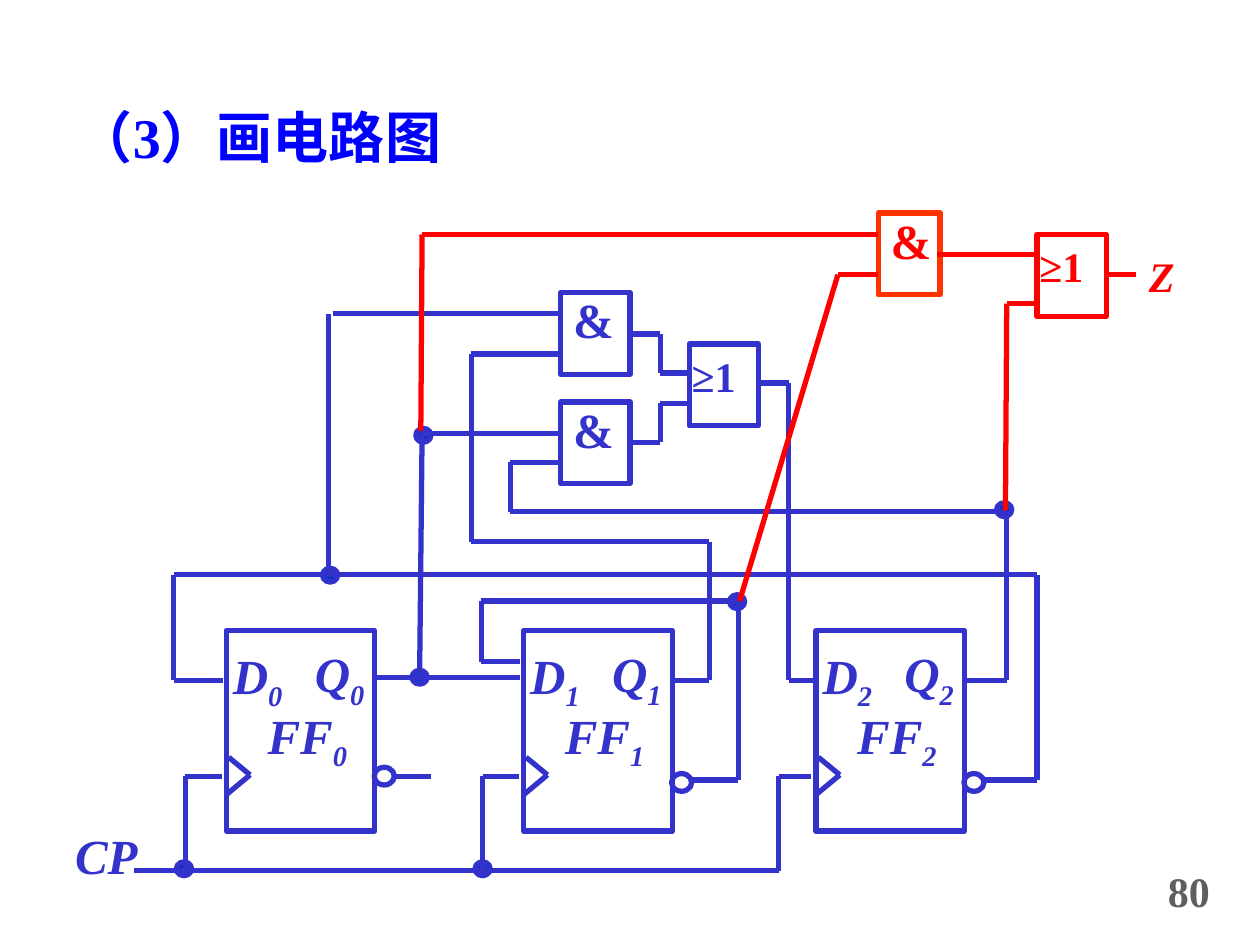
"""Build the slide with the circuit diagram of three D flip-flops."""
from itertools import pairwise

from lxml import etree
from pptx import Presentation
from pptx.dml.color import RGBColor
from pptx.enum.shapes import MSO_CONNECTOR, MSO_SHAPE
from pptx.enum.text import MSO_ANCHOR, PP_ALIGN
from pptx.oxml.ns import qn
from pptx.util import Inches, Pt

LINE = MSO_CONNECTOR.STRAIGHT
RECT, OVAL = MSO_SHAPE.RECTANGLE, MSO_SHAPE.OVAL
TOP, LEFT, CENTER = MSO_ANCHOR.TOP, PP_ALIGN.LEFT, PP_ALIGN.CENTER
FONT = "Times New Roman"
COLORS = {name: RGBColor.from_string(value) for name, value in {
    "title": "0000FF", "wire": "3333CC", "node": "0033CC",
    "output": "FF0000", "gate": "FF3300", "page": "5F5F5F"}.items()}

prs = Presentation()
prs.slide_width, prs.slide_height = Inches(10), Inches(7.5)
U = prs.slide_width / 100  # grid of 100 columns by 75 rows
s = prs.slides.add_slide(prs.slide_layouts[5])


def outline(shape, x, y, w, h, color="wire", fill=None):
    sp = s.shapes.add_shape(shape, *(round(v * U) for v in (x, y, w, h)))
    sp.shadow.inherit = False
    if fill:
        sp.fill.solid()
        sp.fill.fore_color.rgb = COLORS[fill]
    else:
        sp.fill.background()
    sp.line.color.rgb = COLORS[color]
    sp.line.width = Pt(3)


def label(text, x, y, w, h, size=28, color="wire", italic=False, sub="", align=LEFT, sp=None):
    sp = sp or s.shapes.add_textbox(0, 0, 0, 0)
    sp.left, sp.top, sp.width, sp.height = (round(v * U) for v in (x, y, w, h))
    tf = sp.text_frame
    tf.word_wrap = True
    tf.vertical_anchor = TOP
    p = tf.paragraphs[0]
    p.text = text
    p.alignment = align
    if sub:
        r = p.add_run()
        r.text = sub
        r._r.get_or_add_rPr().set("baseline", "-25000")
    for r in p.runs:
        r.font.name, r.font.size = FONT, Pt(size)
        r.font.bold, r.font.italic = True, italic
        r.font.color.rgb = COLORS[color]


label("（3）画电路图", 5.1, 7.6, 61.4, 5.8, 32, "title", sp=s.shapes.title)

# Flip-flops
clocks = []
for i, (x, bubble) in enumerate([(17.95, 60.9), (41.55, 61.4), (64.75, 61.4)]):
    outline(RECT, x, 50.05, 11.8, 15.9)
    outline(OVAL, x + 11.75, bubble, 1.6, 1.4)
    label("D", x - 1.65, 50.7, 8.3, 6.3, italic=True, sub=str(i), align=CENTER)
    label("Q", x + 6.05, 50.6, 6.7, 6.3, italic=True, sub=str(i))
    label("FF", x + 2.3, 55.5, 8.7, 6.3, italic=True, sub=str(i))
    clocks.append([(x + 0.2, 60.1), (x + 1.9, 61.5), (x + 0.1, 63)])

# Gates
for x, y, w, color in [(44.5, 23.2, 5.5, "wire"), (44.5, 31.9, 5.5, "wire"), (69.7, 16.9, 4.9, "gate")]:
    outline(RECT, x, y, w, 6.5, color)
    label("&", x, y - 0.7, w + 1.1, 5.7, color="output" if color == "gate" else color)
for x, y, color in [(54.7, 27.3, "wire"), (82.3, 18.6, "output")]:
    outline(RECT, x, y, 5.5, 6.5, color)
    label("≥1", x - 0.8, y, 8.7, 5, 24, color)

# Wires
wires = clocks + [
    [(10.6, 69.1), (61.8, 69.1), (61.8, 61.6), (64.4, 61.6)],
    [(14.7, 69.1), (14.7, 61.6), (17.6, 61.6)],
    [(38.3, 69.1), (38.3, 61.6), (41.2, 61.6)],
    [(17.7, 54), (13.8, 54), (13.8, 45.6), (82.3, 45.6), (82.3, 61.9), (78.1, 61.9)],
    [(31.3, 61.6), (34.2, 61.6)],
    [(29.5, 53.8), (41.3, 53.8)],
    [(33.3, 54), (33.5, 34.4), (44.5, 34.4)],
    [(26.1, 45.4), (26.1, 24.9)],
    [(26.4, 24.9), (44.5, 24.9)],
    [(44.5, 28.1), (37.4, 28.1), (37.4, 43), (56.3, 43), (56.3, 54), (53.3, 54)],
    [(44.5, 36.7), (40.5, 36.7), (40.5, 40.6), (79.9, 40.6), (79.9, 54), (76.6, 54)],
    [(50, 26.5), (52.4, 26.5), (52.4, 29.6), (54.7, 29.6)],
    [(50, 35.1), (52.4, 35.1), (52.4, 32), (54.7, 32)],
    [(60.2, 30.4), (62.6, 30.4), (62.6, 54), (64.9, 54)],
    [(41.3, 52.5), (38.2, 52.5), (38.2, 47.7), (58.6, 47.7), (58.6, 61.9), (54.9, 61.9)],
]
output_wires = [
    [(33.4, 34.2), (33.5, 18.6), (69.7, 18.6)],
    [(58.7, 47.7), (66.5, 21.8), (69.7, 21.8)],
    [(74.4, 20.2), (82.3, 20.2)],
    [(79.8, 40.5), (79.9, 24.1), (82.3, 24.1)],
    [(87.8, 21.8), (90.2, 21.8)],
]
nodes = [(14, 68.4), (37.7, 68.4), (32.7, 53.2), (25.6, 45.1), (33, 34), (79.1, 39.9), (57.9, 47.2)]
for x, y in nodes:
    outline(OVAL, x, y, 1.2, 1.1, fill="node")

for color, group in [("wire", wires), ("output", output_wires)]:
    for points in group:
        for start, end in pairwise(points):
            c = s.shapes.add_connector(LINE, *(round(v * U) for v in start + end))
            c.line.color.rgb = COLORS[color]
            c.line.width = Pt(3)
            etree.SubElement(c._element.spPr, qn("a:effectLst"))

label("CP", 4.3, 65, 8.3, 5.7, italic=True, align=CENTER)
label("Z", 90.2, 19.4, 4.7, 5, 24, "output", italic=True)
label("80", 91.7, 68.2, 6.3, 4.6, 24, "page")

prs.save("out.pptx")
